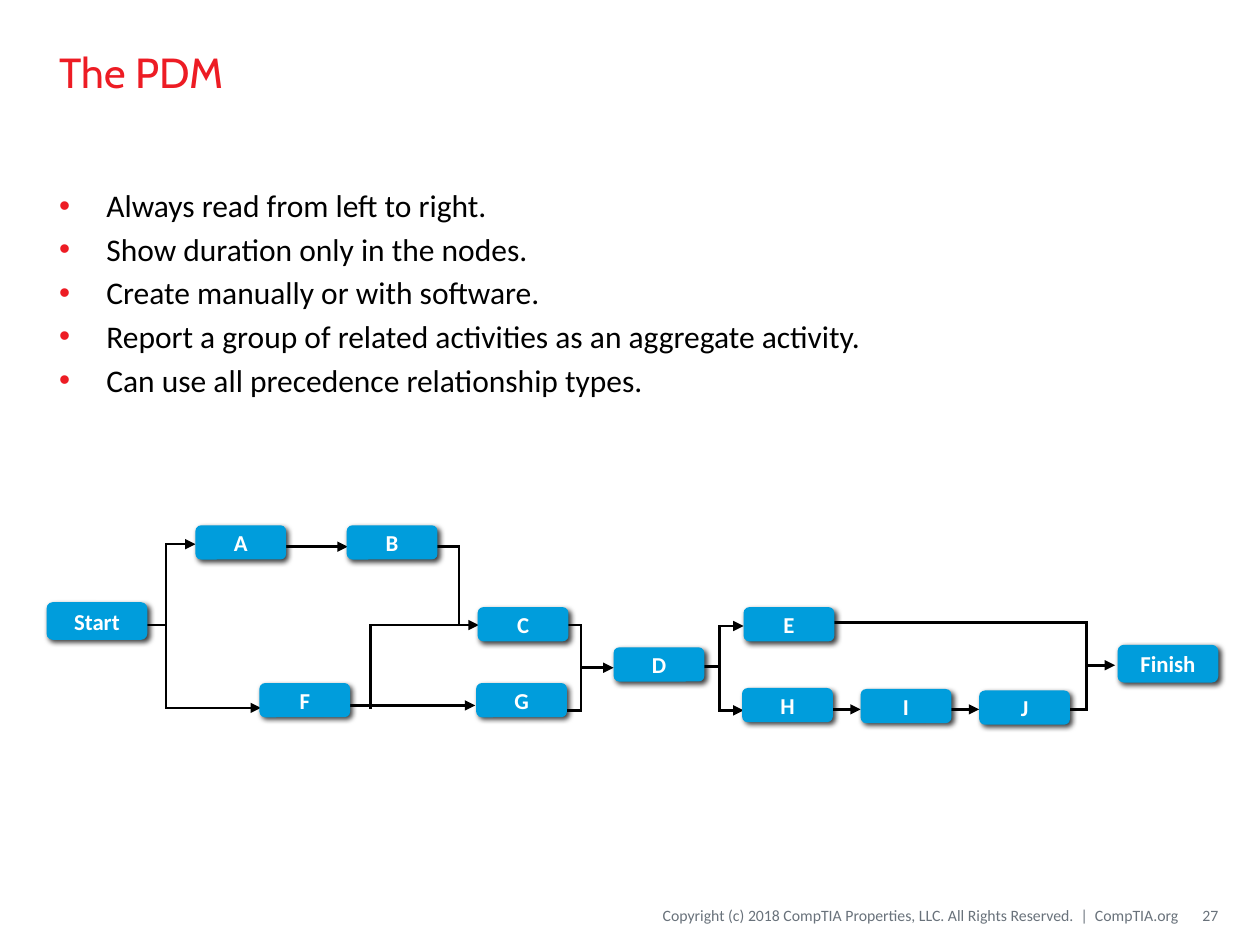
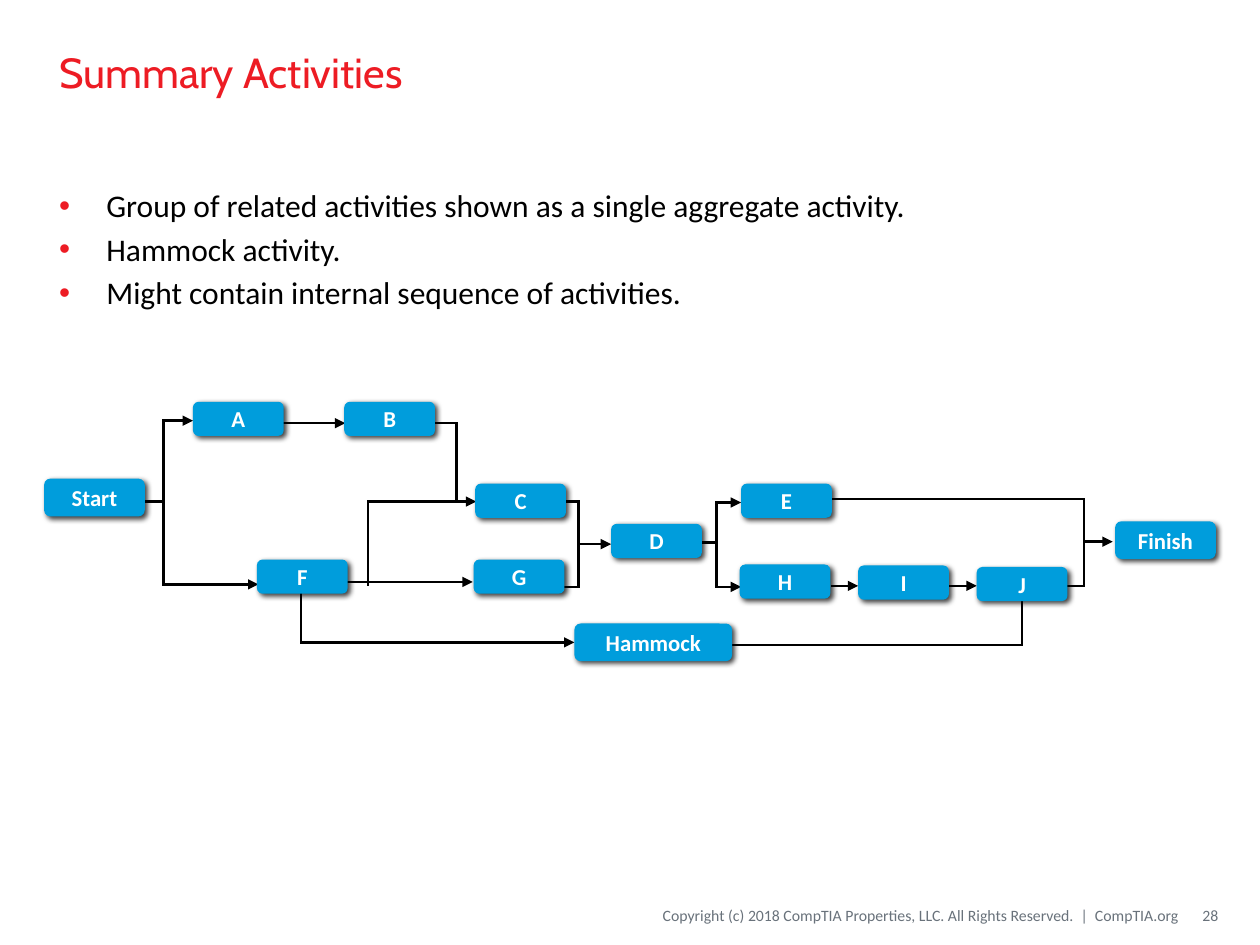
from itertools import pairwise

from lxml.etree import SubElement
from pptx import Presentation
from pptx.dml.color import RGBColor
from pptx.enum.shapes import MSO_CONNECTOR, MSO_SHAPE
from pptx.enum.text import MSO_ANCHOR, MSO_AUTO_SIZE, PP_ALIGN
from pptx.oxml.ns import qn
from pptx.util import Cm, Pt

RED, BLUE, GREY, BLACK, WHITE = "ED1C24", "009DDC", "69727B", "000000", "FFFFFF"
COPYRIGHT = ("Copyright (c) 2018 CompTIA Properties, LLC. "
             "All Rights Reserved.  |  CompTIA.org")

ACTIVITY = (1.83, 0.69)
TERMINAL = (2.03, 0.76)
HAMMOCK = (3.18, 0.76)

# Node positions and arrow routes in cm, measured from the network's corner
NODES = [
    ("Start", 0, 1.55, TERMINAL),
    ("A", 3, 0, ACTIVITY),
    ("B", 6.05, 0, ACTIVITY),
    ("C", 8.69, 1.65, ACTIVITY),
    ("D", 11.43, 2.46, ACTIVITY),
    ("E", 14.05, 1.65, ACTIVITY),
    ("F", 4.29, 3.18, ACTIVITY),
    ("G", 8.66, 3.18, ACTIVITY),
    ("H", 14.02, 3.28, ACTIVITY),
    ("I", 16.41, 3.3, ACTIVITY),
    ("J", 18.8, 3.33, ACTIVITY),
    ("Finish", 21.59, 2.41, TERMINAL),
]
ARROWS = [
    [(1.5, 2.01), (2.41, 2.01), (2.41, 0.38), (3, 0.38)],             # Start to A
    [(2.41, 2.01), (2.41, 3.68), (4.32, 3.68)],                       # Start to F
    [(4.7, 0.43), (6.07, 0.43)],                                      # A to B
    [(6.53, 3.68), (6.53, 2.01), (8.71, 2.01)],                       # F to C
    [(5.59, 3.63), (8.64, 3.63)],                                     # F to G
    [(9.68, 2.01), (10.77, 2.01), (10.77, 2.87), (11.43, 2.87)],      # C to D
    [(12.93, 2.84), (13.56, 2.84), (13.56, 2.03), (14.05, 2.03)],     # D to E
    [(13.56, 2.84), (13.56, 3.73), (14.05, 3.73)],                    # D to H
    [(15.88, 3.71), (16.41, 3.71)],                                   # H to I
    [(18.26, 3.71), (18.8, 3.71)],                                    # I to J
    [(15.9, 1.96), (20.96, 1.96), (20.96, 2.82), (21.54, 2.82)],      # E to Finish
]
JOINS = [
    [(7.59, 0.43), (8.31, 0.43), (8.31, 1.96)],                       # B into C
    [(9.68, 3.73), (10.77, 3.73), (10.77, 2.87)],                     # G into D
    [(18.9, 3.71), (20.96, 3.71), (20.96, 2.82)],                     # J into Finish
]
HAMMOCK_NODE = ("Hammock", 10.69, 4.47, HAMMOCK)
HAMMOCK_ARROW = [(5.18, 3.43), (5.18, 4.85), (10.69, 4.85)]
HAMMOCK_JOIN = [(19.71, 3.43), (19.71, 4.9), (13.44, 4.9)]


def color(hex_string):
    return RGBColor.from_string(hex_string)


def place(shape, left, top, width, height):
    shape.left, shape.top = Cm(left), Cm(top)
    shape.width, shape.height = Cm(width), Cm(height)


def style(para, size, hex_string, name="Calibri", bold=False):
    para.font.size, para.font.name, para.font.bold = Pt(size), name, bold
    para.font.color.rgb = color(hex_string)


def add_title(page, text):
    title = page.shapes.title
    place(title, 0.94, 0.28, 23.5, 2.34)
    frame = title.text_frame
    frame.text = text
    frame.auto_size = MSO_AUTO_SIZE.NONE
    frame.vertical_anchor = MSO_ANCHOR.MIDDLE
    para = frame.paragraphs[0]
    para.alignment = PP_ALIGN.LEFT
    style(para, 24, RED, "Cabin")


def add_bullet(para):
    properties = para._p.get_or_add_pPr()
    properties.set("marL", str(Cm(0.95)))
    properties.set("indent", str(Cm(-0.95)))
    bullet_color = SubElement(properties, qn("a:buClr"))
    SubElement(bullet_color, qn("a:srgbClr"), val=RED)
    SubElement(properties, qn("a:buFont"), typeface="Arial")
    SubElement(properties, qn("a:buChar"), char="•")


def add_list(page, items):
    body = page.placeholders[1]
    place(body, 0.94, 3.63, 23.5, 13.21)
    frame = body.text_frame
    frame.text = "\n".join(items)
    frame.auto_size = MSO_AUTO_SIZE.NONE
    for index, para in enumerate(frame.paragraphs):
        add_bullet(para)
        para.space_before = Pt(3.3 if index else 0)
        style(para, 18, BLACK)


def add_footer_text(page, text, left, width):
    box = page.shapes.add_textbox(Cm(left), Cm(18.08), Cm(width), Cm(0.76))
    frame = box.text_frame
    frame.word_wrap = True
    frame.vertical_anchor = MSO_ANCHOR.MIDDLE
    frame.margin_left = frame.margin_right = 0
    frame.text = text
    para = frame.paragraphs[0]
    para.alignment = PP_ALIGN.RIGHT
    style(para, 9, GREY)


def add_shadow(shape):
    shape.shadow.inherit = False
    effects = shape._element.spPr.find(qn("a:effectLst"))
    shadow = SubElement(effects, qn("a:outerShdw"), blurRad=str(Pt(3)),
                        dist=str(Pt(2)), dir=str(45 * 60000), rotWithShape="0")
    shade = SubElement(shadow, qn("a:srgbClr"), val=BLACK)
    SubElement(shade, qn("a:alpha"), val="75000")


def add_node(page, origin, label, left, top, size):
    width, height = size
    node = page.shapes.add_shape(
        MSO_SHAPE.ROUNDED_RECTANGLE, Cm(origin[0] + left), Cm(origin[1] + top),
        Cm(width), Cm(height))
    node.fill.solid()
    node.fill.fore_color.rgb = color(BLUE)
    node.line.fill.background()
    add_shadow(node)
    frame = node.text_frame
    frame.margin_top = frame.margin_bottom = 0
    frame.vertical_anchor = MSO_ANCHOR.MIDDLE
    frame.text = label
    para = frame.paragraphs[0]
    para.alignment = PP_ALIGN.CENTER
    style(para, 13, WHITE, bold=True)


def add_route(page, origin, points, arrow):
    """Draw straight lines through the points, with an arrowhead at the last if asked."""
    spots = [(Cm(origin[0] + x), Cm(origin[1] + y)) for x, y in points]
    for start, end in pairwise(spots):
        connector = page.shapes.add_connector(MSO_CONNECTOR.STRAIGHT, *start, *end)
        connector.line.color.rgb = color(BLACK)
        connector.line.width = Pt(1.5)
        outline = connector.line._get_or_add_ln()
        outline.set("cap", "sq")
        if arrow and end == spots[-1]:
            SubElement(outline, qn("a:tailEnd"), type="triangle")
        SubElement(connector._element.spPr, qn("a:effectLst"))


def add_network(page, origin, nodes, arrows, joins):
    for points in joins:
        add_route(page, origin, points, arrow=False)
    for points in arrows:
        add_route(page, origin, points, arrow=True)
    for node in nodes:
        add_node(page, origin, *node)


def add_page(deck, number, title, items):
    page = deck.slides.add_slide(deck.slide_layouts[1])
    add_title(page, title)
    add_list(page, items)
    add_footer_text(page, COPYRIGHT, 9.86, 13.89)
    add_footer_text(page, str(number), 23.83, 0.73)
    return page


def main():
    deck = Presentation()
    deck.slide_width, deck.slide_height = Cm(25.4), Cm(19.05)

    page = add_page(deck, 27, "The PDM", [
        "Always read from left to right.",
        "Show duration only in the nodes.",
        "Create manually or with software.",
        "Report a group of related activities as an aggregate activity.",
        "Can use all precedence relationship types.",
    ])
    add_network(page, (0.94, 10.59), NODES, ARROWS, JOINS)

    page = add_page(deck, 28, "Summary Activities", [
        "Group of related activities shown as a single aggregate activity.",
        "Hammock activity.",
        "Might contain internal sequence of activities.",
    ])
    add_network(page, (0.89, 8.1), NODES + [HAMMOCK_NODE],
                ARROWS + [HAMMOCK_ARROW], JOINS + [HAMMOCK_JOIN])

    deck.save("out.pptx")


if __name__ == "__main__":
    main()
